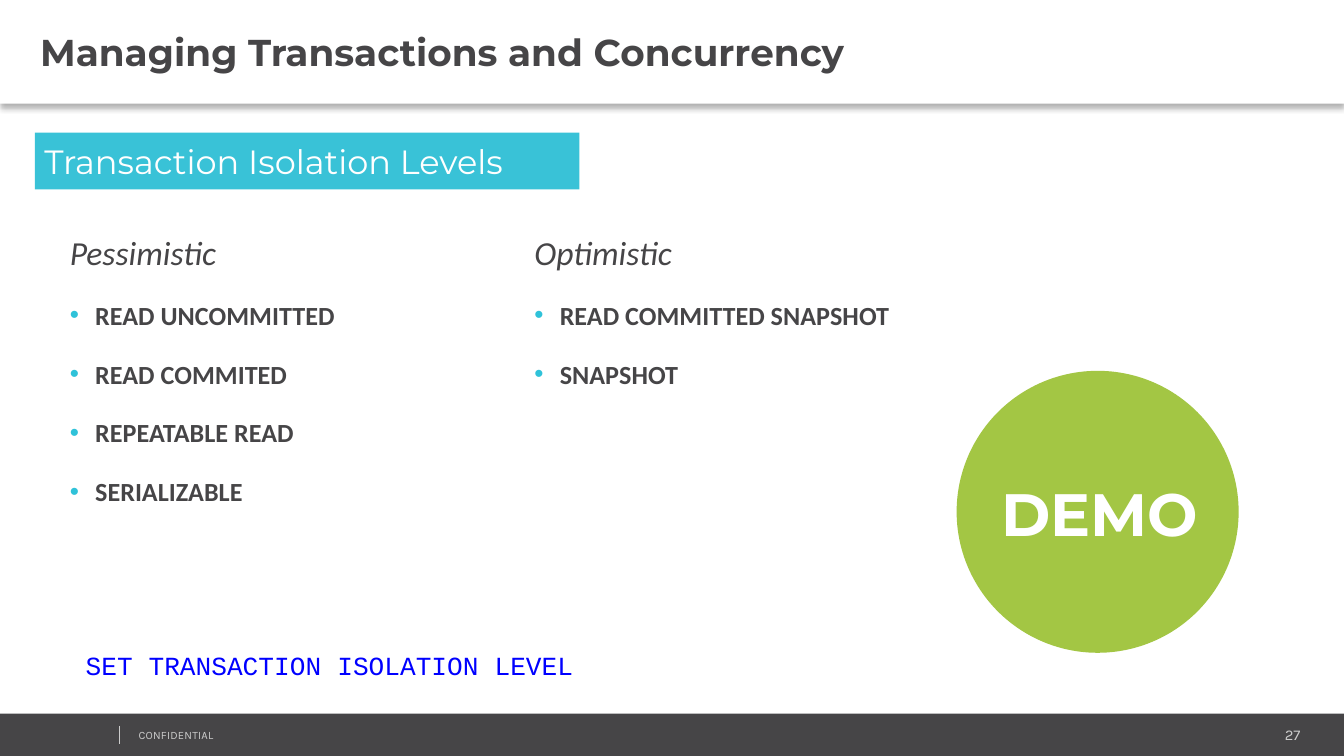
import pptx
import pptx.util
import pptx.dml.color
import pptx.enum.shapes
import pptx.enum.text
import pptx.oxml.ns
import lxml.etree

Cm = pptx.util.Cm
Pt = pptx.util.Pt
Align = pptx.enum.text.PP_ALIGN
Anchor = pptx.enum.text.MSO_ANCHOR
Kind = pptx.enum.shapes.MSO_SHAPE

WHITE = "FFFFFF"
DARK = "464547"
PALE = "CCCCCC"
BLUE = "0000FF"


def color(code):
    return pptx.dml.color.RGBColor.from_string(code)


def add(parent, tag, **attrs):
    node = lxml.etree.SubElement(parent, pptx.oxml.ns.qn(tag))
    for key, value in attrs.items():
        node.set(key, str(value))
    return node


class Deck:
    head = "Montserrat"
    body = "Calibri"
    foot = "Karla"
    code = "Courier New"

    def __init__(self, wide, high):
        self.file = pptx.Presentation()
        self.file.slide_width = Cm(wide)
        self.file.slide_height = Cm(high)
        self.slide = self.file.slides.add_slide(self.file.slide_layouts[6])

    def shape(self, kind, box, fill):
        shape = self.slide.shapes.add_shape(kind, *map(Cm, box))
        shape.shadow.inherit = False
        shape.fill.solid()
        shape.fill.fore_color.rgb = color(fill)
        shape.line.fill.background()
        return shape

    def shade(self, shape, blur, dist, alpha):
        effects = shape._element.spPr.find(pptx.oxml.ns.qn("a:effectLst"))
        outer = add(effects, "a:outerShdw", blurRad=Pt(blur), dist=Pt(dist),
                    dir=90 * 60000, algn="t", rotWithShape=0)
        tint = add(outer, "a:srgbClr", val="000000")
        add(tint, "a:alpha", val=alpha * 1000)

    def line(self, start, end, tint, width):
        kind = pptx.enum.shapes.MSO_CONNECTOR.STRAIGHT
        line = self.slide.shapes.add_connector(kind, *map(Cm, start + end))
        line.line.color.rgb = color(tint)
        line.line.width = Pt(width)
        add(line._element.spPr, "a:effectLst")

    def text(self, box):
        return self.slide.shapes.add_textbox(*map(Cm, box))

    def frame(self, shape, left=0.25, side=0.25, edge=0.13, wrap=True, anchor=Anchor.TOP):
        frame = shape.text_frame
        frame.word_wrap = wrap
        frame.vertical_anchor = anchor
        frame.margin_left, frame.margin_right = Cm(left), Cm(side)
        frame.margin_top = frame.margin_bottom = Cm(edge)
        return frame

    def para(self, frame, align=Align.LEFT, lines=None, after=None):
        first = frame.paragraphs[0]
        para = frame.add_paragraph() if first.runs else first
        para.alignment = align
        if lines:
            para.line_spacing = lines
        if after:
            para.space_after = Pt(after)
        return para

    def run(self, para, text, size, font, tint, bold=False, slant=False):
        run = para.add_run()
        run.text = text
        run.font.size = Pt(size)
        run.font.name = font
        run.font.bold = bold
        run.font.italic = slant
        run.font.color.rgb = color(tint)
        return run

    def bullet(self, para, tint, indent):
        props = para._p.get_or_add_pPr()
        props.set("marL", str(Cm(indent)))
        props.set("indent", str(-Cm(indent)))
        add(add(props, "a:buClr"), "a:srgbClr", val=tint)
        add(props, "a:buFont", typeface="Arial")
        add(props, "a:buChar", char="•")

    def list(self, box, title, items):
        frame = self.frame(self.text(box))
        para = self.para(frame, lines=1.1, after=13)
        self.run(para, title, 18, self.body, DARK, slant=True)
        for item in items:
            para = self.para(frame, lines=1.1, after=13)
            self.bullet(para, "2FC2D9", 0.48)
            self.run(para, item, 14, self.body, DARK, bold=True)


deck = Deck(25.4, 14.29)

deck.shape(Kind.RECTANGLE, (0, 13.49, 25.4, 0.8), DARK)
page = deck.frame(deck.text((20.62, 13.61, 4.14, 0.53)), 0.18, 0.18, 0.1)
deck.run(deck.para(page, Align.RIGHT), "27", 8, deck.foot, PALE)
label = deck.frame(deck.text((2.44, 13.67, 6.43, 0.46)), 0.18, 0.18, 0.1)
mark = deck.run(deck.para(label), "CONFIDENTIAL", 6, deck.foot, PALE)
mark.font._element.set("spc", "10")
deck.line((2.26, 13.72), (2.26, 14.07), PALE, 0.25)

top = deck.shape(Kind.RECTANGLE, (0, 0, 25.4, 1.96), WHITE)
deck.shade(top, 3.1, 2, 30)
title = deck.frame(top, 0.76, 0.18, 0.1, anchor=Anchor.MIDDLE)
deck.run(deck.para(title), "Managing Transactions and Concurrency", 20, deck.head, DARK, bold=True)

band = deck.shape(Kind.RECTANGLE, (0.66, 2.51, 10.29, 1.07), "39C2D7")
topic = deck.frame(band, 0.18, 0.18, 0.15, anchor=Anchor.MIDDLE)
deck.run(deck.para(topic), "Transaction Isolation Levels", 18, deck.head, WHITE)

levels = {
    "Pessimistic": ["READ UNCOMMITTED", "READ COMMITED", "REPEATABLE READ", "SERIALIZABLE"],
    "Optimistic": ["READ COMMITTED SNAPSHOT", "SNAPSHOT"],
}
for column, (name, items) in enumerate(levels.items()):
    deck.list((1.07 + 8.78 * column, 4.17, 7.98, 6.5), name, items)

deck.shape(Kind.OVAL, (18.08, 7.01, 5.33, 5.33), "A3C644")
demo = deck.frame(deck.text((18.08, 8.89, 5.41, 3.18)), wrap=False)
deck.run(deck.para(demo, Align.CENTER), "DEMO", 32, deck.head, WHITE, bold=True)

query = deck.para(deck.frame(deck.text((1.37, 12.09, 13.08, 1.07))), lines=1.1, after=13)
for place, word in enumerate(["SET", "TRANSACTION", "ISOLATION", "LEVEL"]):
    if place:
        deck.run(query, " ", 14, deck.code, "000000")
    deck.run(query, word, 14, deck.code, BLUE)

deck.file.save("out.pptx")
